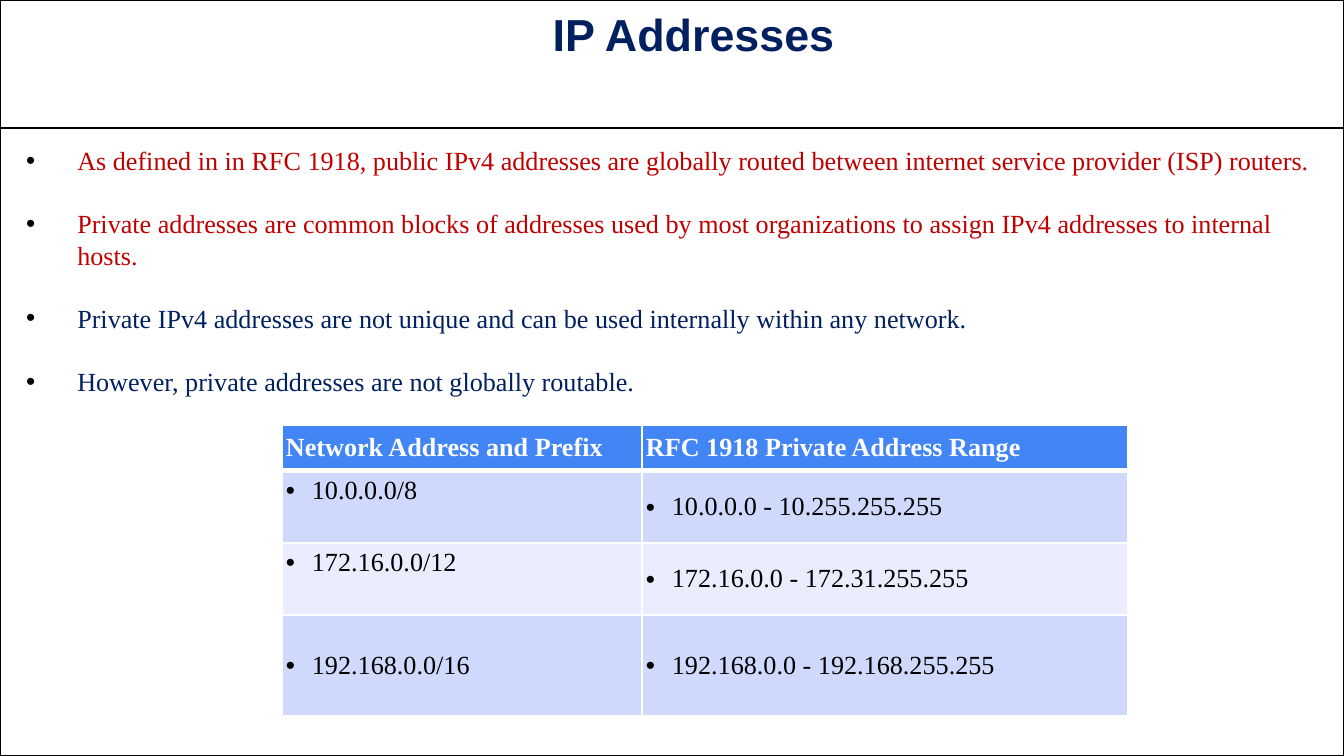
"""Builds the IP Addresses slide with its bullet list and address table."""
import pptx
import pptx.dml.color
import pptx.enum.shapes
import pptx.enum.text
import pptx.oxml.ns
import pptx.util
import lxml.etree

SCALE = 914400 / 134.4
WIDTH, HEIGHT = 1344, 756
BLACK, WHITE, NAVY, RED = "000000", "FFFFFF", "002060", "C00000"
HEADER_BLUE, BAND_DARK, BAND_LIGHT = "4285F4", "CFD9FB", "E9EDFD"
ANCHOR = pptx.enum.text.MSO_ANCHOR

POINTS = [
    ("As defined in in RFC 1918, public IPv4 addresses are globally routed "
     "between internet service provider (ISP) routers.", RED),
    ("Private addresses are common blocks of addresses used by most "
     "organizations to assign IPv4 addresses to internal hosts.", RED),
    ("Private IPv4 addresses are not unique and can be used internally "
     "within any network.", NAVY),
    ("However, private addresses are not globally routable.", NAVY),
]
RANGES = [
    ("Network Address and Prefix", "RFC 1918 Private Address Range"),
    ("10.0.0.0/8", "10.0.0.0 - 10.255.255.255"),
    ("172.16.0.0/12", "172.16.0.0 - 172.31.255.255"),
    ("192.168.0.0/16", "192.168.0.0 - 192.168.255.255"),
]


def px(length):
    """Turn pixels into EMU."""
    return pptx.util.Emu(round(length * SCALE))


def rgb(code):
    """Turn a hex string into a colour."""
    return pptx.dml.color.RGBColor.from_string(code)


def add_child(parent, tag, **attributes):
    """Append a DrawingML element and return it."""
    child = lxml.etree.SubElement(parent, pptx.oxml.ns.qn(tag))
    for name, value in attributes.items():
        child.set(name, str(value))
    return child


def write(para, text, size=14, font="Times New Roman", color=BLACK,
          bold=False, align=None, indent=0, before=0):
    """Put formatted text in a paragraph, with a bullet when indented."""
    if indent:
        properties = para._p.get_or_add_pPr()
        properties.set("marL", str(px(indent)))
        properties.set("indent", str(-px(indent)))
        add_child(add_child(properties, "a:buClr"), "a:srgbClr", val=BLACK)
        add_child(properties, "a:buFont", typeface="Arial")
        add_child(properties, "a:buChar", char="•")
    if before:
        para.space_before = pptx.util.Pt(before)
    para.alignment = align
    span = para.add_run()
    span.text = text
    span.font.size = pptx.util.Pt(size)
    span.font.name = font
    span.font.bold = bold
    span.font.color.rgb = rgb(color)


class SlideBuilder:
    """Holds the style and the current slide."""

    def __init__(self, slide, line_color=BLACK, line_width=1):
        """Keep the slide and the line style."""
        self.shapes = slide.shapes
        self.line_color = line_color
        self.line_width = pptx.util.Pt(line_width)

    def frame(self, left, top, width, height):
        """Draw an unfilled rectangle."""
        shape = self.shapes.add_shape(
            pptx.enum.shapes.MSO_SHAPE.RECTANGLE,
            px(left), px(top), px(width), px(height))
        shape.shadow.inherit = False
        shape.fill.background()
        shape.line.color.rgb = rgb(self.line_color)
        shape.line.width = self.line_width

    def rule(self, left, right, y):
        """Draw a horizontal line."""
        line = self.shapes.add_connector(
            pptx.enum.shapes.MSO_CONNECTOR.STRAIGHT,
            px(left), px(y), px(right), px(y))
        line.line.color.rgb = rgb(self.line_color)
        line.line.width = self.line_width
        add_child(line._element.spPr, "a:effectLst")

    def text(self, left, top, width, height):
        """Add a wrapping text box and return its text frame."""
        box = self.shapes.add_textbox(px(left), px(top), px(width), px(height))
        box.text_frame.word_wrap = True
        return box.text_frame

    def title(self, text, *place):
        """Add the centred slide title."""
        write(self.text(*place).paragraphs[0], text, size=24, font="Arial",
              color=NAVY, bold=True, align=pptx.enum.text.PP_ALIGN.CENTER)

    def bullets(self, points, *place):
        """Add a bullet list with a gap between its points."""
        frame = self.text(*place)
        for index, (text, color) in enumerate(points):
            para = frame.add_paragraph() if index else frame.paragraphs[0]
            write(para, text, color=color, indent=51,
                  before=17 if index else 0)

    def cell(self, cell, text, fill, borders, anchor, **style):
        """Fill one table cell, with border widths by side."""
        properties = cell._tc.get_or_add_tcPr()
        for side, width in borders.items():
            line = add_child(properties, "a:ln" + side, w=pptx.util.Pt(width))
            add_child(add_child(line, "a:solidFill"), "a:srgbClr", val=WHITE)
        cell.fill.solid()
        cell.fill.fore_color.rgb = rgb(fill)
        cell.margin_left = cell.margin_right = px(4)
        cell.margin_top = cell.margin_bottom = px(5)
        cell.vertical_anchor = anchor
        write(cell.text_frame.paragraphs[0], text, **style)

    def table(self, rows, left, top, widths, heights):
        """Add a table with a header row and banded body rows."""
        table = self.shapes.add_table(
            len(rows), len(widths), px(left), px(top),
            px(sum(widths)), px(sum(heights))).table
        for column, width in zip(table.columns, widths):
            column.width = px(width)
        for r, (values, height) in enumerate(zip(rows, heights)):
            table.rows[r].height = px(height)
            borders = {"L": 1, "R": 1, "T": 3 if r == 1 else 1,
                       "B": 1 if r else 3}
            fill = BAND_DARK if r % 2 else BAND_LIGHT
            style = {"indent": 26}
            if r == 0:
                fill, style = HEADER_BLUE, {"color": WHITE, "bold": True}
            for c, value in enumerate(values):
                raised = c == 0 and r in (1, 2)
                anchor = ANCHOR.TOP if raised else ANCHOR.MIDDLE
                self.cell(table.cell(r, c), value, fill, borders, anchor,
                          **style)


def main():
    """Build and save the deck."""
    deck = pptx.Presentation()
    deck.slide_width, deck.slide_height = px(WIDTH), px(HEIGHT)
    page = SlideBuilder(deck.slides.add_slide(deck.slide_layouts[6]))
    page.frame(0, 0, WIDTH, HEIGHT)
    page.rule(0, WIDTH, 128)
    page.title("IP Addresses", 224, 0, 939, 67)
    page.bullets(POINTS, 13, 138, 1316, 583)
    page.table(RANGES, 282, 425, (360, 486), (46, 72, 72, 101))
    deck.save("out.pptx")


if __name__ == "__main__":
    main()
